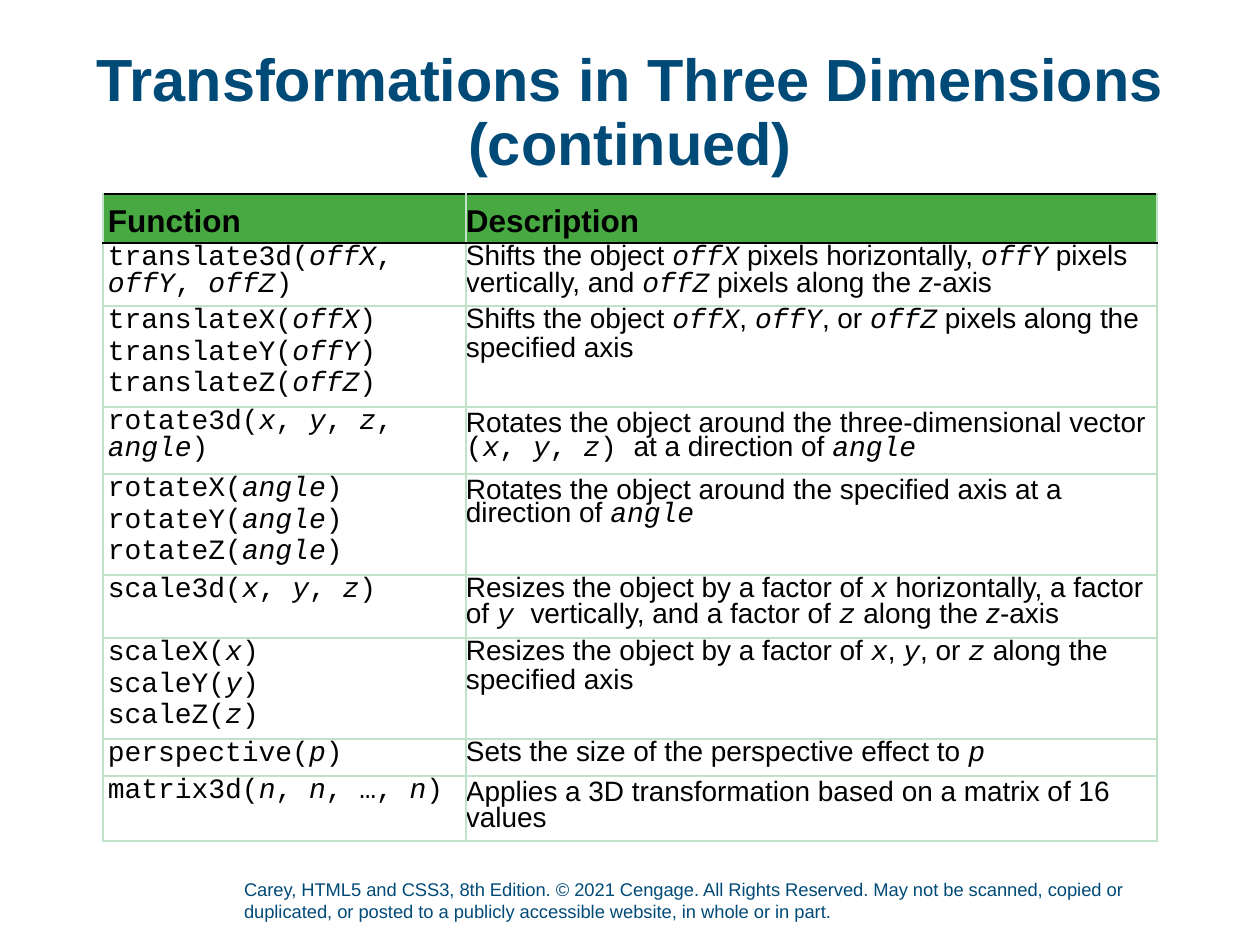
from dataclasses import dataclass

from lxml import etree
from pptx import Presentation
from pptx.dml.color import RGBColor
from pptx.enum.text import MSO_ANCHOR, MSO_AUTO_SIZE, PP_ALIGN
from pptx.oxml.ns import qn
from pptx.util import Emu, Pt

TOP, BOTTOM = MSO_ANCHOR.TOP, MSO_ANCHOR.BOTTOM
LEFT, CENTER = PP_ALIGN.LEFT, PP_ALIGN.CENTER
GROW = MSO_AUTO_SIZE.SHAPE_TO_FIT_TEXT
PX = 914400 / 126


@dataclass(frozen=True)
class Theme:
    navy: str = "004A78"
    black: str = "000000"
    white: str = "FFFFFF"
    green: str = "48A841"
    mint: str = "BFE2C9"
    sans: str = "Arial"
    code: str = "Courier New"
    title: float = 34
    header: float = 18
    body: float = 16
    footer: float = 10.5


theme = Theme()


def px(*lengths):
    return [Emu(round(length * PX)) for length in lengths]


def write(frame, text, *, size, color=theme.black, bold=False, mono=False,
          align=LEFT, spacing=None, before=0):
    """Underscores toggle italics, backticks toggle the code font."""
    frame.word_wrap = True
    for index, line in enumerate(text.split("\n")):
        paragraph = frame.add_paragraph() if index else frame.paragraphs[0]
        paragraph.alignment = align
        paragraph.line_spacing = spacing
        paragraph.space_before = Pt(before if index else 0)
        in_code = mono
        for part_index, part in enumerate(line.split("_")):
            for piece_index, piece in enumerate(part.split("`")):
                if piece_index:
                    in_code = not in_code
                if not piece:
                    continue
                run = paragraph.add_run()
                run.text = piece
                run.font.name = theme.code if in_code else theme.sans
                run.font.size = Pt(size)
                run.font.bold = bold
                run.font.italic = part_index % 2 == 1
                run.font.color.rgb = RGBColor.from_string(color)


presentation = Presentation()
presentation.slide_width, presentation.slide_height = px(1260, 945)
slide = presentation.slides.add_slide(presentation.slide_layouts[6])

# Copyright line and title
for bounds, text, anchor, bottom_inset, style in [
    ((244, 878, 926, 50),
     "Carey, HTML5 and CSS3, 8th Edition. © 2021 Cengage. All Rights Reserved. "
     "May not be scanned, copied or duplicated, or posted to a publicly "
     "accessible website, in whole or in part.",
     BOTTOM, 6, dict(size=theme.footer)),
    ((87, 50, 1086, 93), "Transformations in Three Dimensions (continued)",
     TOP, 0, dict(size=theme.title, bold=True, align=CENTER, spacing=0.9)),
]:
    frame = slide.shapes.add_textbox(*px(*bounds)).text_frame
    (frame.margin_left, frame.margin_top, frame.margin_right,
     frame.margin_bottom) = px(0, 0, 0, bottom_inset)
    frame.vertical_anchor = anchor
    if anchor == BOTTOM:
        frame.auto_size = GROW
    write(frame, text, color=theme.navy, **style)

# Function table: row height, function, description
FUNCTIONS = [
    (49, "Function", "Description"),
    (63, "translate3d(_offX_, _offY_, _offZ_)",
     "Shifts the object `_offX_` pixels horizontally, `_offY_` pixels "
     "vertically, and `_offZ_` pixels along the _z_-axis"),
    (101, "translateX(_offX_)\ntranslateY(_offY_)\ntranslateZ(_offZ_)",
     "Shifts the object `_offX_`, `_offY_`, or `_offZ_` pixels along the "
     "specified axis"),
    (67, "rotate3d(_x_, _y_, _z_, _angle_)",
     "Rotates the object around the three-dimensional vector "
     "`(_x_, _y_, _z_) `at a direction of `_angle_`"),
    (101, "rotateX(_angle_)\nrotateY(_angle_)\nrotateZ(_angle_)",
     "Rotates the object around the specified axis at a direction of `_angle_`"),
    (63, "scale3d(_x_, _y_, _z_)",
     "Resizes the object by a factor of `_x_` horizontally, a factor of "
     "`_y _`vertically, and a factor of `_z_` along the _z_-axis"),
    (101, "scaleX(_x_)\nscaleY(_y_)\nscaleZ(_z_)",
     "Resizes the object by a factor of `_x_`, `_y_`, or `_z_` along the "
     "specified axis"),
    (37, "perspective(_p_)", "Sets the size of the perspective effect to `_p_`"),
    (65, "matrix3d(_n_, _n_, …, _n_)",
     "Applies a 3D transformation based on a matrix of 16 values"),
]
COLUMN_WIDTHS = (363, 691)
table_height = sum(height for height, *_ in FUNCTIONS)
table = slide.shapes.add_table(
    len(FUNCTIONS), len(COLUMN_WIDTHS),
    *px(103, 194, sum(COLUMN_WIDTHS), table_height)).table
table.horz_banding = False
for column, width in zip(table.columns, px(*COLUMN_WIDTHS)):
    column.width = width

for row, (height, *texts) in enumerate(FUNCTIONS):
    table.rows[row].height = px(height)[0]
    is_header = row == 0
    for col, text in enumerate(texts):
        cell = table.cell(row, col)
        (cell.margin_left, cell.margin_top, cell.margin_right,
         cell.margin_bottom) = px(0 if col else 5, 21 if is_header else 5,
                                  9, 4 if is_header else 5)
        cell.vertical_anchor = BOTTOM if is_header else TOP
        edges = {
            "L": theme.mint,
            "R": theme.mint,
            "T": theme.black if row < 2 else theme.mint,
            "B": theme.black if is_header else theme.mint,
        }
        properties = cell._tc.get_or_add_tcPr()
        for side, color in edges.items():
            border = etree.SubElement(properties, qn(f"a:ln{side}"), w=str(Pt(1)))
            fill = etree.SubElement(border, qn("a:solidFill"))
            etree.SubElement(fill, qn("a:srgbClr"), val=color)
        cell.fill.solid()
        cell.fill.fore_color.rgb = RGBColor.from_string(
            theme.green if is_header else theme.white)
        write(cell.text_frame, text,
              size=theme.header if is_header else theme.body,
              bold=is_header, mono=col == 0 and not is_header,
              spacing=Pt(12 if is_header else 15), before=3)

presentation.save("out.pptx")
